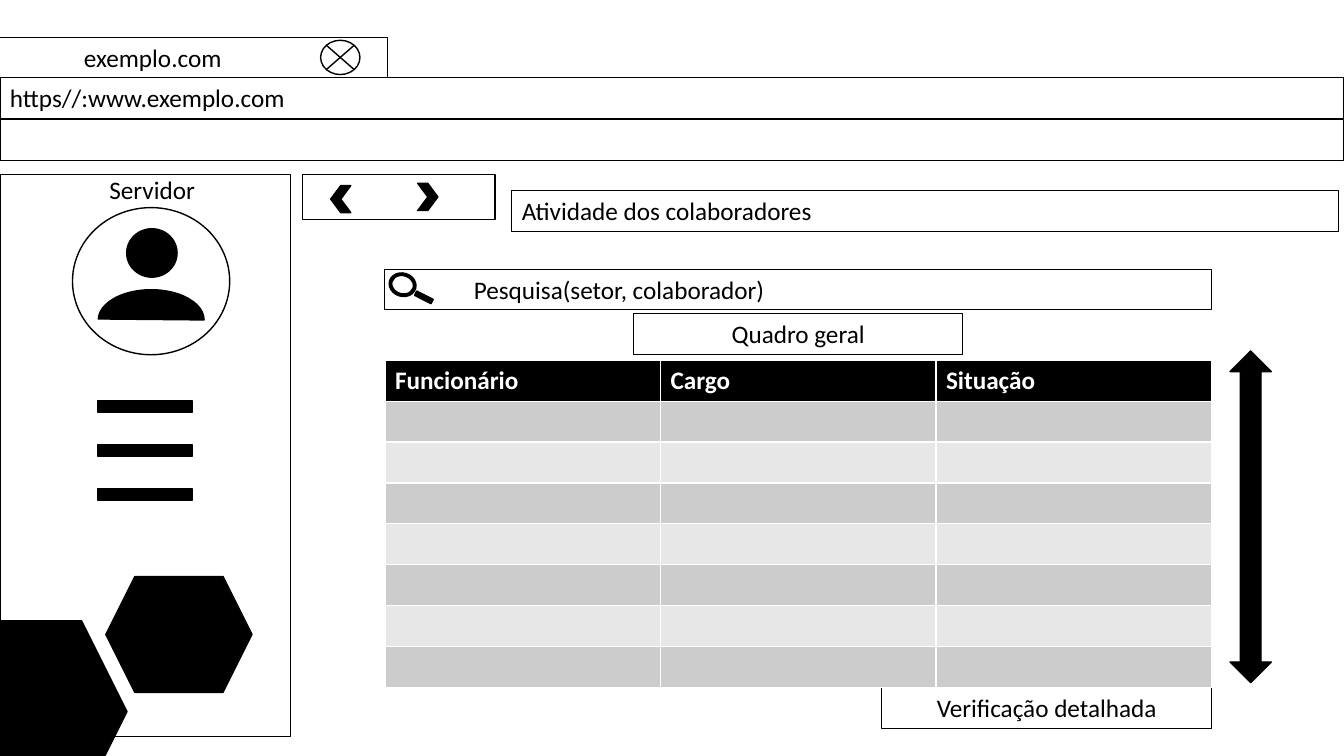
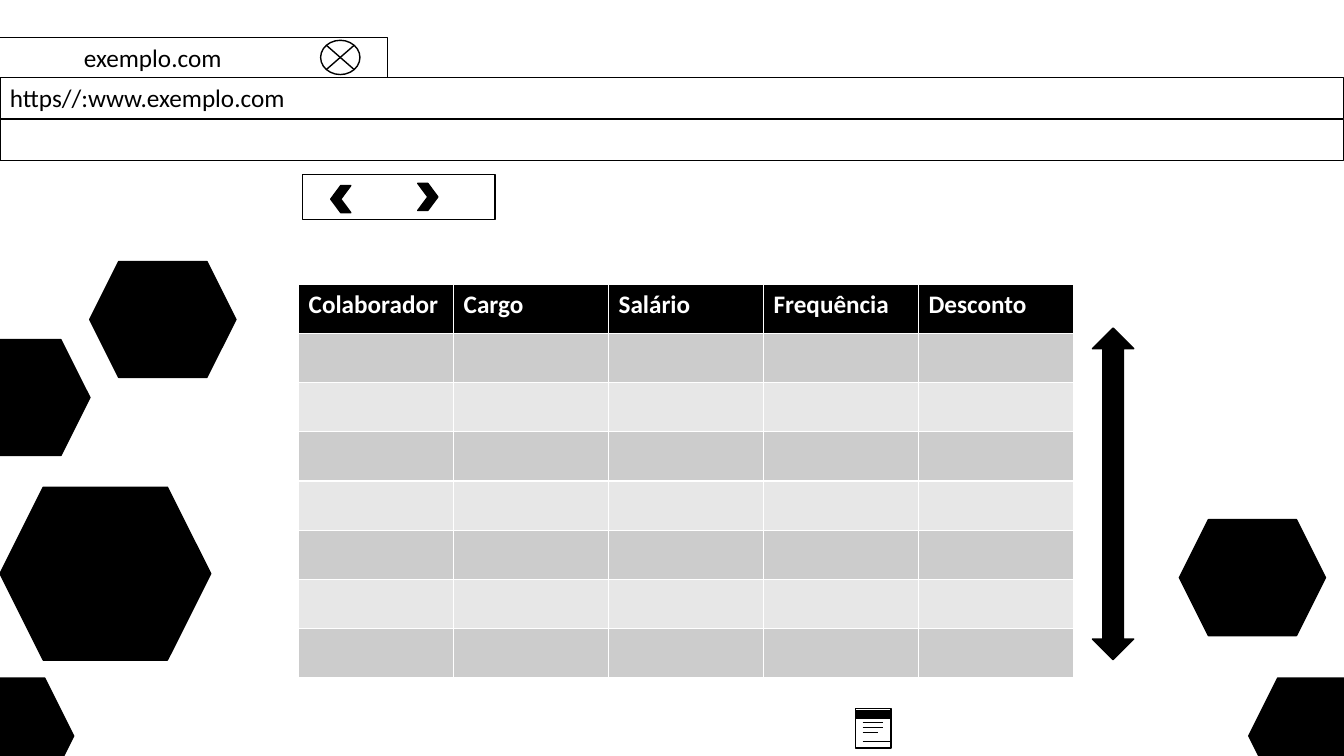
from dataclasses import dataclass

from lxml.etree import SubElement
from pptx import Presentation
from pptx.dml.color import RGBColor
from pptx.enum.shapes import MSO_CONNECTOR, MSO_SHAPE
from pptx.enum.text import MSO_ANCHOR, MSO_AUTO_SIZE, PP_ALIGN
from pptx.oxml.ns import qn
from pptx.util import Pt


@dataclass(frozen=True)
class Theme:
    ink: RGBColor = RGBColor(0, 0, 0)
    paper: RGBColor = RGBColor(255, 255, 255)
    bands: tuple = (RGBColor(0xCC, 0xCC, 0xCC), RGBColor(0xE7, 0xE7, 0xE7))
    font: str = "Calibri"
    size: float = 18
    hairline: float = 0.5
    field_line: float = 0.75
    shape_line: float = 1


THEME = Theme()
TITLE_ONLY, BLANK = 5, 6
PAGE_W, PAGE_H = 960, 540
FIELD_H = 29.1
HEX_SIZE = (104.4, 82.8)


def points(*values):
    return [Pt(v) for v in values]


def outline(sp, width):
    sp.line.color.rgb = THEME.ink
    sp.line.width = Pt(width)


def write(sp, text, align=PP_ALIGN.LEFT, indent=7.2):
    tf = sp.text_frame
    tf.word_wrap = True
    tf.auto_size = MSO_AUTO_SIZE.NONE
    tf.vertical_anchor = MSO_ANCHOR.TOP
    tf.margin_left, tf.margin_right = points(indent, 7.2)
    tf.margin_top = tf.margin_bottom = Pt(3.6)
    p = tf.paragraphs[0]
    p.text = text
    p.alignment = align
    style(p, THEME.ink)


def style(p, color, bold=False):
    p.font.name = THEME.font
    p.font.size = Pt(THEME.size)
    p.font.color.rgb = color
    p.font.bold = bold


def add_shape(s, kind, box, fill=None, line=THEME.shape_line, rotation=0, adjustments=()):
    sp = s.shapes.add_shape(kind, *points(*box))
    sp.shadow.inherit = False
    sp.rotation = rotation
    for i, value in enumerate(adjustments):
        sp.adjustments[i] = value
    if fill is None:
        sp.fill.background()
    else:
        sp.fill.solid()
        sp.fill.fore_color.rgb = fill
    outline(sp, line)
    return sp


def add_solid(s, kind, box, **options):
    return add_shape(s, kind, box, THEME.ink, **options)


def add_field(s, left, top, width, text="", **options):
    sp = add_shape(s, MSO_SHAPE.RECTANGLE, (left, top, width, FIELD_H), line=THEME.field_line)
    if text:
        write(sp, text, **options)


def add_title(s, left, top, width, text):
    sp = s.shapes.title
    sp.left, sp.top, sp.width, sp.height = points(left, top, width, FIELD_H)
    write(sp, text)
    outline(sp, THEME.field_line)


def add_hexagon(s, left, top, size=HEX_SIZE):
    add_solid(s, MSO_SHAPE.HEXAGON, (left, top, *size))


def add_scroll_arrow(s, left, top):
    add_solid(s, MSO_SHAPE.LEFT_RIGHT_ARROW, (left, top, 236.9, 29.5), rotation=90)


def add_rule(s, left, right, y):
    cxn = s.shapes.add_connector(MSO_CONNECTOR.STRAIGHT, *points(left, y, right, y))
    outline(cxn, THEME.hairline)
    SubElement(cxn.element.spPr, qn("a:effectLst"))


def add_grid(s, left, top, width, row_h, headings, body_rows=7):
    rows = body_rows + 1
    frame = s.shapes.add_table(rows, len(headings), *points(left, top, width, rows * row_h))
    table = frame.table
    for column in table.columns:
        column.width = Pt(width / len(headings))
    for r, row in enumerate(table.rows):
        row.height = Pt(row_h)
        for cell in row.cells:
            cell.fill.solid()
            cell.fill.fore_color.rgb = THEME.bands[(r - 1) % 2] if r else THEME.ink
    for cell, heading in zip(table.rows[0].cells, headings):
        p = cell.text_frame.paragraphs[0]
        p.text = heading
        style(p, THEME.paper, bold=True)


def add_browser(s):
    add_field(s, 0, 55.4, PAGE_W, "https//:www.exemplo.com")
    add_field(s, 0, 85.4, PAGE_W)
    add_field(s, 0, 26.6, 277, "exemplo.com", indent=60)
    add_shape(s, MSO_SHAPE.FLOWCHART_SUMMING_JUNCTION, (229, 28.8, 28.1, 24.5))


def add_navigation(s):
    add_shape(s, MSO_SHAPE.RECTANGLE, (216, 124.5, 137.5, 32.4))
    add_solid(s, MSO_SHAPE.CHEVRON, (298.4, 131, 14.4, 19.4))
    add_solid(s, MSO_SHAPE.CHEVRON, (236.2, 132.5, 14.4, 19.4), rotation=180)


def add_sidebar(s):
    add_shape(s, MSO_SHAPE.RECTANGLE, (0, 124.5, 207.4, 401.6))
    add_shape(s, MSO_SHAPE.OVAL, (51.8, 148.3, 112.3, 105.1))
    add_solid(s, MSO_SHAPE.CHORD, (86.4, 190.8, 43.2, 75.6),
              rotation=90, adjustments=(54.65, 162))
    add_solid(s, MSO_SHAPE.OVAL, (90.5, 163.4, 36, 34.6))
    for i in range(3):
        add_solid(s, MSO_SHAPE.RECTANGLE, (69.8, 286.4 + i * 31.4, 67.7, 7.9))
    label = s.shapes.add_textbox(*points(15.8, 121, 185.8, FIELD_H))
    write(label, "Servidor", align=PP_ALIGN.CENTER)


def add_search(s):
    add_field(s, 275, 192.2, 590.4, "Pesquisa(setor, colaborador)", indent=63.5)
    add_solid(s, MSO_SHAPE.DONUT, (277.9, 195.1, 19.4, 16.6),
              rotation=17, adjustments=(0.11,))
    add_solid(s, MSO_SHAPE.MATH_MINUS, (293.8, 202.3, 18, 20.2),
              rotation=26.9, adjustments=(0.17,))


def add_note(s, left, top):
    add_shape(s, MSO_SHAPE.RECTANGLE, (left, top, 25.2, 28.1), THEME.paper)
    add_solid(s, MSO_SHAPE.RECTANGLE, (left, top + 1.4, 25.2, 5.8))
    for drop, length in ((10, 14.4), (13, 14.4), (17.2, 10.8), (23, 20.2)):
        add_rule(s, left + 5, left + 5 + length, top + drop)


def build_activity(prs):
    s = prs.slides.add_slide(prs.slide_layouts[TITLE_ONLY])
    add_browser(s)
    add_sidebar(s)
    add_navigation(s)
    add_hexagon(s, -67.7, 443.5, (158.4, 129.6))
    add_hexagon(s, 75.6, 411.8)
    add_field(s, 630, 491, 235.4, "Verificação detalhada", align=PP_ALIGN.CENTER)
    add_search(s)
    add_grid(s, 275, 257.4, 590.4, 28.8, ("Funcionário", "Cargo", "Situação"))
    add_scroll_arrow(s, 774.9, 354.4)
    add_title(s, 365.5, 136.1, 590.4, "Atividade dos colaboradores")
    add_field(s, 452.5, 224, 235.4, "Quadro geral", align=PP_ALIGN.CENTER)


def build_payroll(prs):
    s = prs.slides.add_slide(prs.slide_layouts[BLANK])
    add_browser(s)
    add_grid(s, 213.3, 203.2, 553.5, 35.1,
             ("Colaborador", "Cargo", "Salário", "Frequência", "Desconto"))
    add_scroll_arrow(s, 676.6, 338)
    add_hexagon(s, 0, 348, (150.5, 123.5))
    for left, top in ((-51.8, 484.3), (-40.2, 242.6), (64.1, 186.8),
                      (892, 484.3), (842.4, 371.2)):
        add_hexagon(s, left, top)
    add_note(s, 611.2, 506.2)
    add_navigation(s)


def main():
    prs = Presentation()
    prs.slide_width, prs.slide_height = points(PAGE_W, PAGE_H)
    build_activity(prs)
    build_payroll(prs)
    prs.save("out.pptx")


main()
